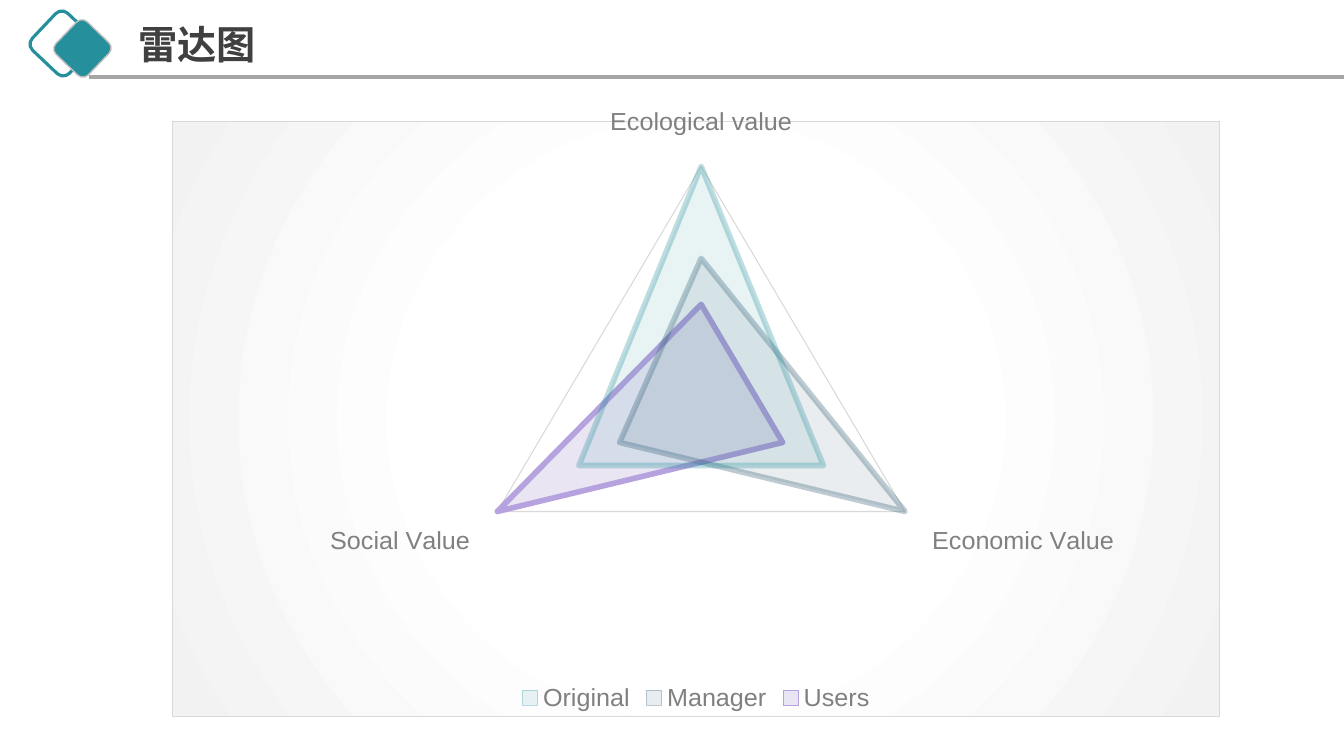
from dataclasses import dataclass

from lxml.etree import SubElement
from pptx import Presentation
from pptx.chart.data import CategoryChartData
from pptx.dml.color import RGBColor
from pptx.enum.chart import XL_CHART_TYPE, XL_LEGEND_POSITION, XL_TICK_MARK
from pptx.enum.shapes import MSO_CONNECTOR, MSO_SHAPE
from pptx.enum.text import MSO_ANCHOR, MSO_AUTO_SIZE, PP_ALIGN
from pptx.oxml import parse_xml
from pptx.oxml.ns import nsdecls, qn
from pptx.util import Pt

EMU_PER_PX = 914400 / 100.8


@dataclass(frozen=True)
class Theme:
    teal: str = "268F9C"
    navy: str = "2A566E"
    lilac: str = "CABEE2"
    violet: str = "B6A2DE"
    title: str = "404040"
    label: str = "808080"
    rule: str = "A6A6A6"
    diamond_edge: str = "BFBFBF"
    grid: str = "D9D9D9"
    panel_center: str = "FFFFFF"
    panel_edge: str = "F2F2F2"
    title_font: str = "Noto Sans CJK SC"
    chart_font: str = "Arial"
    title_size: int = 28
    label_size: int = 18


THEME = Theme()
CATEGORIES = ["Ecological value", "Economic Value", "Social Value"]
# name, values, fill, fill opacity, line, line opacity
SERIES = [
    ("Original", (100, 60, 60), THEME.teal, 10, THEME.teal, 30),
    ("Manager", (60, 100, 40), THEME.navy, 10, THEME.navy, 30),
    ("Users", (40, 40, 100), THEME.lilac, 40, THEME.violet, 100),
]


def px(*lengths):
    return [round(length * EMU_PER_PX) for length in lengths]


def set_line(line, color, width):
    line.color.rgb = RGBColor.from_string(color)
    line.width = Pt(width)


def set_font(font, name, size, color):
    font.name = name
    font.size = Pt(size)
    font.color.rgb = RGBColor.from_string(color)


def set_opacity(properties, percent):
    for color in properties.iter(qn("a:srgbClr")):
        SubElement(color, qn("a:alpha"), val=str(percent * 1000))


def add_diamond(slide, left, top, side, rotation, fill, line, width):
    diamond = slide.shapes.add_shape(
        MSO_SHAPE.ROUNDED_RECTANGLE, *px(left, top, side, side))
    diamond.rotation = rotation
    diamond.shadow.inherit = False
    if fill:
        diamond.fill.solid()
        diamond.fill.fore_color.rgb = RGBColor.from_string(fill)
    else:
        diamond.fill.background()
    set_line(diamond.line, line, width)


def add_header(slide, left, top, width, height, text):
    """Place the diamonds, rule and title in the given band."""
    add_diamond(slide, left + 37, top + 18, 51, 43.4, None, THEME.teal, 2.25)
    rule = slide.shapes.add_connector(
        MSO_CONNECTOR.STRAIGHT,
        *px(left + 89, top + height, left + width, top + height))
    set_line(rule.line, THEME.rule, 2.25)
    SubElement(rule.element.spPr, qn("a:effectLst"))
    add_diamond(slide, left + 60, top + 26, 45, 43.9,
                THEME.teal, THEME.diamond_edge, 1)

    title = slide.shapes.title
    title.left, title.top, title.width, title.height = px(
        left + 128, top + 17, 576, 59)
    frame = title.text_frame
    frame.text = text
    frame.word_wrap = True
    frame.auto_size = MSO_AUTO_SIZE.NONE
    frame.vertical_anchor = MSO_ANCHOR.MIDDLE
    paragraph = frame.paragraphs[0]
    paragraph.alignment = PP_ALIGN.LEFT
    paragraph.line_spacing = 0.9
    set_font(paragraph.font, THEME.title_font, THEME.title_size, THEME.title)
    paragraph.font.bold = True
    for properties in title.element.iter(qn("a:defRPr")):
        latin = properties.find(qn("a:latin"))
        latin.addnext(parse_xml(
            f'<a:ea {nsdecls("a")} typeface="{THEME.title_font}"/>'))


def style_panel(chart):
    """Give the chart area its radial gradient and thin border."""
    panel = parse_xml(
        f'<c:spPr {nsdecls("c", "a")}><a:gradFill><a:gsLst>'
        f'<a:gs pos="43000"><a:srgbClr val="{THEME.panel_center}"/></a:gs>'
        f'<a:gs pos="100000"><a:srgbClr val="{THEME.panel_edge}"/></a:gs>'
        '</a:gsLst><a:path path="circle">'
        '<a:fillToRect l="50000" t="50000" r="50000" b="50000"/>'
        '</a:path></a:gradFill><a:ln w="9525"><a:solidFill>'
        f'<a:srgbClr val="{THEME.grid}"/></a:solidFill></a:ln></c:spPr>')
    chart.element.find(qn("c:chart")).addnext(panel)


def set_plot_box(chart, x, y, w, h):
    plot_area = chart.element.find(".//" + qn("c:plotArea"))
    for layout in plot_area.findall(qn("c:layout")):
        plot_area.remove(layout)
    layout = parse_xml(
        f'<c:layout {nsdecls("c")}><c:manualLayout>'
        '<c:layoutTarget val="inner"/>'
        '<c:xMode val="edge"/><c:yMode val="edge"/>'
        f'<c:x val="{x}"/><c:y val="{y}"/><c:w val="{w}"/><c:h val="{h}"/>'
        '</c:manualLayout></c:layout>')
    plot_area.insert(0, layout)


def add_radar(slide, left, top, width, height):
    data = CategoryChartData()
    data.categories = CATEGORIES
    for name, values, *_ in SERIES:
        data.add_series(name, values)
    chart = slide.shapes.add_chart(
        XL_CHART_TYPE.RADAR_FILLED, *px(left, top, width, height), data).chart
    chart.has_title = False
    set_font(chart.font, THEME.chart_font, 10, "000000")
    style_panel(chart)
    set_plot_box(chart, 0.28, 0.075, 0.45, 0.774)

    plot = chart.plots[0]
    plot.vary_by_categories = False
    for series, (_, _, fill, fill_opacity, line, line_opacity) in zip(
            plot.series, SERIES):
        series.format.fill.solid()
        series.format.fill.fore_color.rgb = RGBColor.from_string(fill)
        set_opacity(series.format.fill._xPr, fill_opacity)
        set_line(series.format.line, line, 4)
        if line_opacity < 100:
            outline = series.format.fill._xPr.find(qn("a:ln"))
            set_opacity(outline, line_opacity)

    category_axis = chart.category_axis
    category_axis.has_major_gridlines = False
    category_axis.major_tick_mark = XL_TICK_MARK.NONE
    set_line(category_axis.format.line, THEME.grid, 0.75)
    set_font(category_axis.tick_labels.font,
             THEME.chart_font, THEME.label_size, THEME.label)

    value_axis = chart.value_axis
    value_axis.minimum_scale = 0
    value_axis.maximum_scale = 100
    value_axis.major_unit = 100
    value_axis.has_major_gridlines = True
    set_line(value_axis.major_gridlines.format.line, THEME.grid, 0.75)
    value_axis.visible = False

    chart.has_legend = True
    chart.legend.position = XL_LEGEND_POSITION.BOTTOM
    chart.legend.include_in_layout = False
    set_font(chart.legend.font,
             THEME.chart_font, THEME.label_size, THEME.label)


def main():
    presentation = Presentation()
    presentation.slide_width, presentation.slide_height = px(1344, 756)
    slide = presentation.slides.add_slide(presentation.slide_layouts[5])
    add_header(slide, 0, 0, 1344, 77, "雷达图")
    add_radar(slide, 172, 108, 1048, 609)
    presentation.save("out.pptx")


if __name__ == "__main__":
    main()
